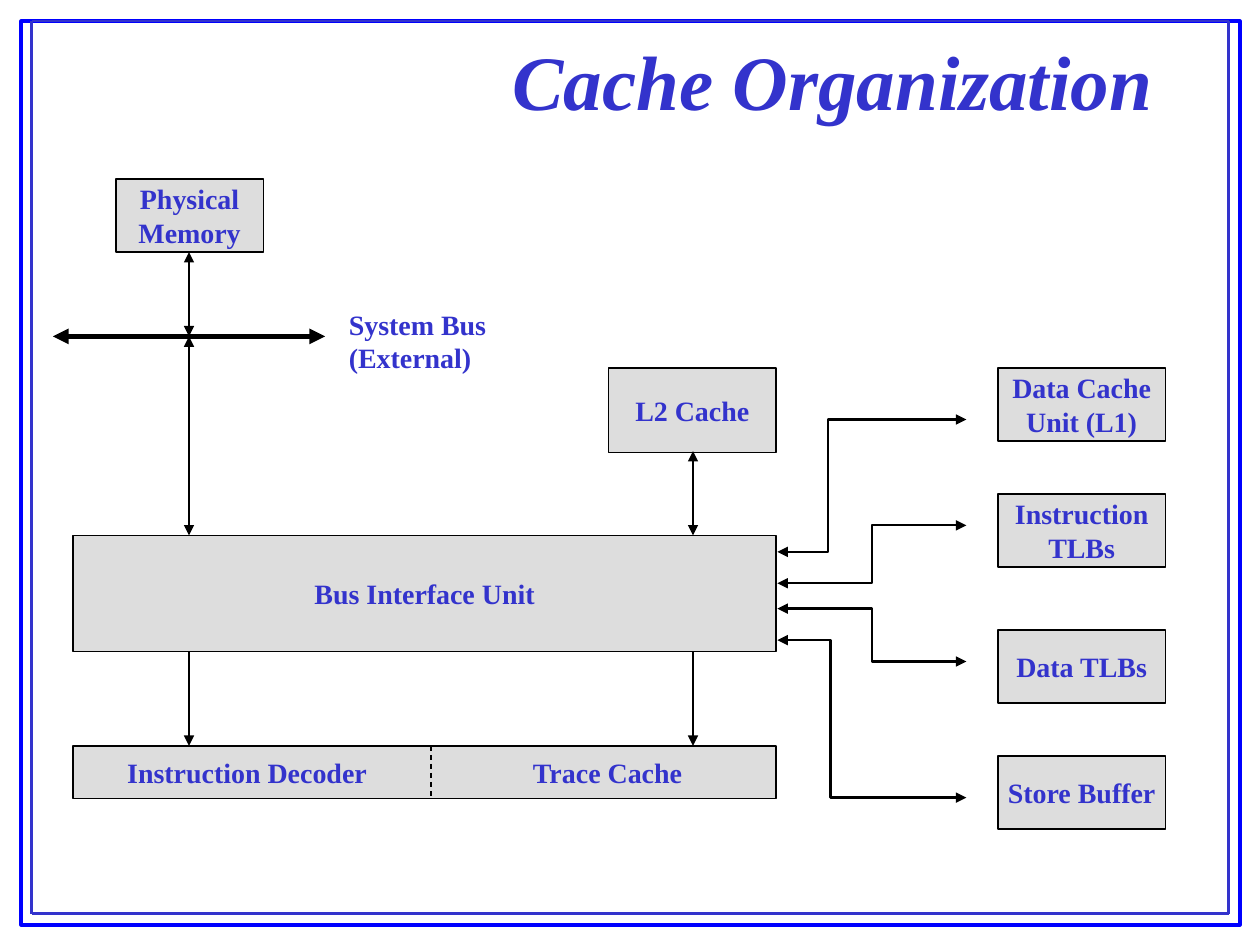
from lxml import etree
from pptx import Presentation
from pptx import util as u
from pptx.dml.color import RGBColor
from pptx.enum import dml, shapes, text
from pptx.oxml import ns

COLORS = {"ink": "3333CC", "frame": "0000FF", "box": "DDDDDD", "line": "000000"}
TITLE = "Cache Organization"
FRAME = (0.17, 0.17, 9.67, 7.17)
INNER = (0.25, 0.17, 9.75, 7.25)
MEMORY_X, L2_X, BUS_Y = 1.5, 5.5, 2.67
UNIT_TOP, UNIT_BOTTOM, DECODER_TOP, DECODER_BOTTOM = 4.25, 5.17, 5.92, 6.33
UNIT_LEFT, UNIT_RIGHT, LINK_END = 0.58, 6.17, 7.67

BOXES = [
    (["Physical", "Memory"], (0.92, 1.42, 1.17, 0.58)),
    (["Bus Interface Unit"], (UNIT_LEFT, UNIT_TOP, 5.58, 0.92)),
    (["L2 Cache"], (4.83, 2.92, 1.33, 0.67)),
]
CLIENTS = [
    (["Data Cache", "Unit (L1)"], 2.92, 4.38, 3.33, 0.269),
    (["Instruction", "TLBs"], 3.92, 4.63, 4.17, 0.5),
    (["Data TLBs"], 5.0, 4.83, 5.25, 0.5),
    (["Store Buffer"], 6.0, 5.08, 6.33, 0.281),
]
DECODER = ["Instruction Decoder\tTrace Cache"]
BUS_LABEL = ["System Bus", "(External)"]
BOTH, END = ("headEnd", "tailEnd"), ("tailEnd",)
ARROWS = [
    ((MEMORY_X, BUS_Y), (MEMORY_X, 2), 1.25, BOTH),
    ((0.42, BUS_Y), (2.58, BUS_Y), 3, BOTH),
    ((MEMORY_X, UNIT_TOP), (MEMORY_X, BUS_Y), 1.25, BOTH),
    ((L2_X, UNIT_TOP), (L2_X, 3.58), 1.25, BOTH),
    ((MEMORY_X, UNIT_BOTTOM), (MEMORY_X, DECODER_TOP), 1.25, END),
    ((L2_X, UNIT_BOTTOM), (L2_X, DECODER_TOP), 1.25, END),
]
BODY_FONT = {"name": "Times New Roman", "size": u.Pt(16), "bold": True, "italic": False}
TITLE_FONT = {**BODY_FONT, "size": u.Pt(44), "italic": True}
BOX_FRAME = {"word_wrap": False, "vertical_anchor": text.MSO_ANCHOR.MIDDLE}
DECODER_FRAME = {**BOX_FRAME, "word_wrap": True, "margin_left": u.Inches(0.43)}
LABEL_FRAME = {"word_wrap": False, "auto_size": text.MSO_AUTO_SIZE.SHAPE_TO_FIT_TEXT}
TITLE_FRAME = {**BOX_FRAME, "word_wrap": True, "auto_size": text.MSO_AUTO_SIZE.NONE}


def color(name):
    return RGBColor.from_string(COLORS[name])


def inches(values):
    return [u.Inches(value) for value in values]


def apply(target, values):
    for name, value in values.items():
        setattr(target, name, value)


def write(shape, lines, frame, align, font=BODY_FONT, tab=None):
    body = shape.text_frame
    apply(body, frame)
    for index, line in enumerate(lines):
        paragraph = body.add_paragraph() if index else body.paragraphs[0]
        if tab:
            tabs = etree.SubElement(paragraph._p.get_or_add_pPr(), ns.qn("a:tabLst"))
            etree.SubElement(tabs, ns.qn("a:tab"), pos=str(u.Inches(tab)), algn="l")
        paragraph.alignment = align
        run = paragraph.add_run()
        run.text = line
        apply(run.font, font)
        run.font.color.rgb = color("ink")


def add_rect(slide, place, fill, line, width):
    rect = slide.shapes.add_shape(shapes.MSO_SHAPE.RECTANGLE, *inches(place))
    rect.shadow.inherit = False
    if fill:
        rect.fill.solid()
        rect.fill.fore_color.rgb = color(fill)
    else:
        rect.fill.background()
    rect.line.color.rgb = color(line)
    rect.line.width = u.Pt(width)
    return rect


def add_line(slide, start, end, width, heads=(), ink="line", bend=None, dash=None):
    kind = shapes.MSO_CONNECTOR.ELBOW if bend else shapes.MSO_CONNECTOR.STRAIGHT
    line = slide.shapes.add_connector(kind, *inches(start + end))
    line.line.color.rgb = color(ink)
    line.line.width = u.Pt(width)
    if dash:
        line.line.dash_style = dash
    properties = line._element.spPr
    for head in heads:
        etree.SubElement(line.line._get_or_add_ln(), ns.qn(f"a:{head}"), type="triangle")
    etree.SubElement(properties, ns.qn("a:effectLst"))
    if bend:
        guides = properties.find(f"{ns.qn('a:prstGeom')}/{ns.qn('a:avLst')}")
        etree.SubElement(guides, ns.qn("a:gd"), name="adj1", fmla=f"val {round(bend * 100000)}")


def main():
    deck = Presentation()
    deck.slide_width, deck.slide_height = inches((10, 7.5))
    slide = deck.slides.add_slide(deck.slide_layouts[5])
    add_rect(slide, FRAME, None, "frame", 2.25)

    title = slide.shapes.title
    apply(title, dict(zip(("left", "top", "width", "height"), inches((0.75, 0.17, 8.5, 0.92)))))
    write(title, [TITLE], TITLE_FRAME, text.PP_ALIGN.RIGHT, TITLE_FONT)

    client_boxes = [(name, (7.92, top, 1.33, 0.58)) for name, top, *_ in CLIENTS]
    for name, place in BOXES + client_boxes:
        write(add_rect(slide, place, "box", "line", 0.75), name, BOX_FRAME, text.PP_ALIGN.CENTER)

    decoder = add_rect(slide, (UNIT_LEFT, DECODER_TOP, 5.58, 0.42), "box", "line", 0.75)
    write(decoder, DECODER, DECODER_FRAME, text.PP_ALIGN.LEFT, tab=3.22)
    add_line(slide, (3.42, DECODER_TOP), (3.42, DECODER_BOTTOM), 0.75, dash=dml.MSO_LINE.DASH)

    bus_label = slide.shapes.add_textbox(*inches((2.67, 2.39, 1.29, 0.64)))
    write(bus_label, BUS_LABEL, LABEL_FRAME, text.PP_ALIGN.LEFT)

    for arrow in ARROWS:
        add_line(slide, *arrow)
    for _, _, start_y, end_y, bend in CLIENTS:
        add_line(slide, (UNIT_RIGHT, start_y), (LINK_END, end_y), 1.25, BOTH, bend=bend)

    left, top, right, bottom = INNER
    corners = [(left, top), (right, top), (right, bottom), (left, bottom)]
    for start, end in zip(corners, corners[1:] + corners[:1]):
        add_line(slide, start, end, 1.25, ink="ink")
    deck.save("out.pptx")


if __name__ == "__main__":
    main()
